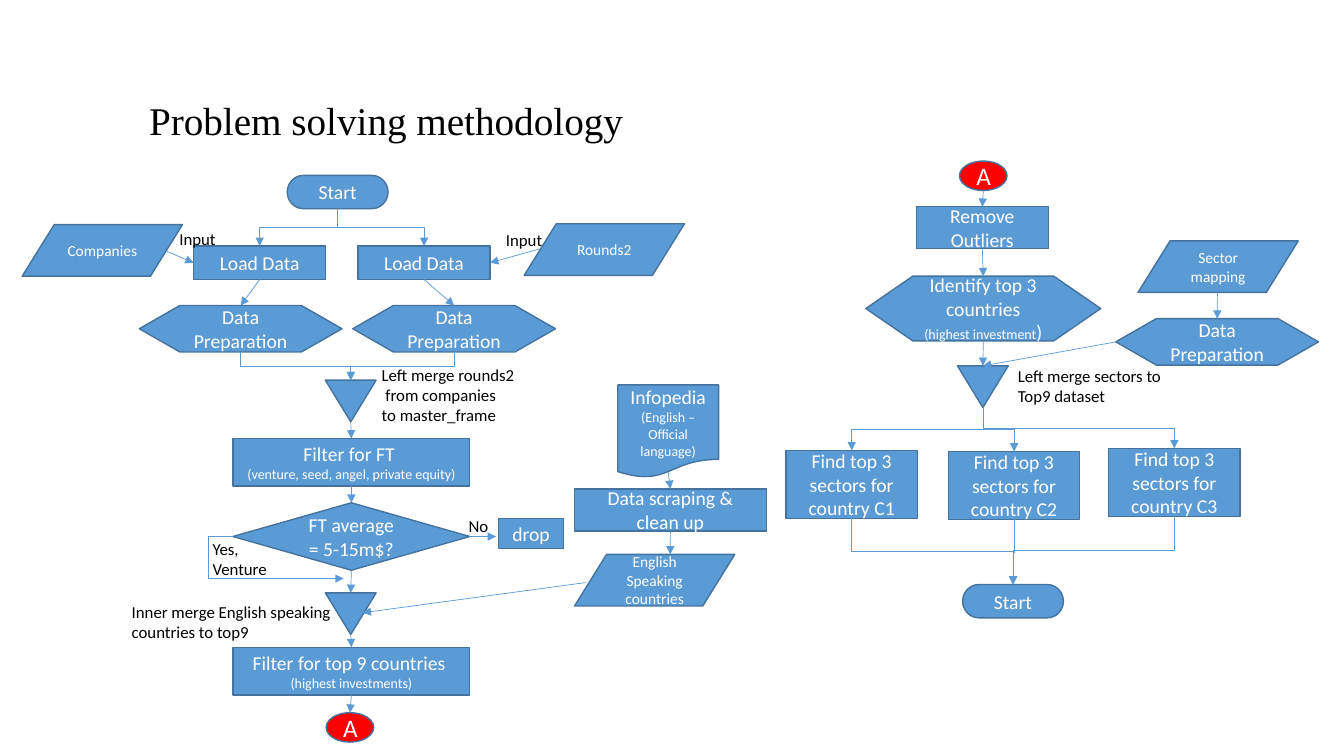
from typing import NamedTuple

from lxml.etree import SubElement
from pptx import Presentation
from pptx.dml.color import RGBColor
from pptx.enum.shapes import MSO_CONNECTOR as Wire, MSO_SHAPE as Form
from pptx.enum.text import MSO_ANCHOR as Anchor, MSO_AUTO_SIZE as Fit, PP_ALIGN as Align
from pptx.oxml.ns import qn
from pptx.util import Cm, Pt

COLORS = {"blue": "5B9BD5", "edge": "43739E", "red": "FF0000",
          "white": "FFFFFF", "black": "000000"}
TOP, LEFT, BOTTOM, RIGHT = range(4)


class Kind(NamedTuple):
    form: Form
    width: float
    height: float
    size: int = 14
    fill: str = "blue"


class Node(NamedTuple):
    name: str
    kind: Kind
    x: float
    y: float
    text: str = ""
    note: str = ""


class Label(NamedTuple):
    x: float
    y: float
    width: float
    height: float
    text: str
    wrap: bool = False


class Spot(NamedTuple):
    x: float
    y: float


class Link(NamedTuple):
    start: str | Spot
    end: str | Spot
    out: int = BOTTOM
    into: int = TOP


# Kinds of flowchart symbol
PILL = Kind(Form.FLOWCHART_TERMINATOR, 2.54, 0.84)
DATA = Kind(Form.FLOWCHART_DATA, 4.04, 1.3, 11)
LOAD = Kind(Form.FLOWCHART_PROCESS, 3.33, 0.84)
PREP = Kind(Form.FLOWCHART_PREPARATION, 5.11, 1.17)
MERGE = Kind(Form.FLOWCHART_MERGE, 1.28, 1.05)
FILTER = Kind(Form.FLOWCHART_PROCESS, 5.97, 1.2)
GATE = Kind(Form.FLOWCHART_DECISION, 5.97, 1.7)
FIND = Kind(Form.FLOWCHART_PROCESS, 3.31, 1.71)
MARK = Kind(Form.OVAL, 1.2, 0.74, 18, "red")
DROP = Kind(Form.FLOWCHART_PROCESS, 1.63, 0.76)
PAGE = Kind(Form.FLOWCHART_DOCUMENT, 2.54, 2.34)
SCRAPE = Kind(Form.FLOWCHART_PROCESS, 4.83, 1.06)
CLEAN = Kind(Form.FLOWCHART_PROCESS, 3.33, 1.06)
PICK = Kind(Form.FLOWCHART_PREPARATION, 5.92, 1.63)

NODES = [
    Node("start", PILL, 7.24, 4.42, "Start"),
    Node("firms", DATA, 0.56, 5.66, "Companies"),
    Node("rounds", DATA, 13.21, 5.64, "Rounds2"),
    Node("load1", LOAD, 4.88, 6.2, "Load Data"),
    Node("load2", LOAD, 9.02, 6.2, "Load Data"),
    Node("prep1", PREP, 3.51, 7.7, "Data Preparation"),
    Node("prep2", PREP, 8.89, 7.7, "Data Preparation"),
    Node("merge1", MERGE, 8.2, 9.58),
    Node("funds", FILTER, 5.87, 11.05, "Filter for FT ", "(venture, seed, angel, private equity)"),
    Node("gate", GATE, 5.87, 12.67, "FT average = 5-15m$?"),
    Node("drop", DROP, 12.57, 13.06, "drop"),
    Node("merge2", MERGE, 8.2, 14.94),
    Node("lands", FILTER, 5.87, 16.31, "Filter for top 9 countries ", "(highest investments)"),
    Node("exit", MARK, 8.22, 17.96, "A"),
    Node("wiki", PAGE, 15.57, 9.7, "Infopedia", "(English – Official language)"),
    Node("scrape", SCRAPE, 14.48, 12.32, "Data scraping & clean up"),
    Node("english", DATA, 14.48, 13.97, "English Speaking countries"),
    Node("entry", MARK, 24.18, 4.06, "A"),
    Node("clean", CLEAN, 23.09, 5.21, "Remove Outliers"),
    Node("pick", PICK, 21.82, 6.96, "Identify top 3 countries "),
    Node("sector", DATA, 28.68, 6.07, "Sector mapping"),
    Node("prep3", PREP, 28.12, 8.03, "Data Preparation"),
    Node("merge3", MERGE, 24.13, 9.22),
    *(Node(f"find{n}", FIND, x, y, f"Find top 3 sectors for country C{n}")
      for n, x, y in ((1, 19.81, 11.35), (2, 23.9, 11.38), (3, 27.94, 11.3))),
    Node("end", PILL, 24.26, 14.73, "Start"),
]
LABELS = [
    Label(12.5, 5.66, 1.42, 0.76, "Input"),
    Label(4.27, 5.64, 1.42, 0.76, "Input"),
    Label(9.37, 9.07, 3.91, 1.8, "Left merge rounds2\n from companies\nto master_frame"),
    Label(3.07, 15.04, 5.74, 1.27, "Inner merge English speaking countries to top9", True),
    Label(5.11, 13.44, 1.88, 1.27, "Yes,\nVenture"),
    Label(11.56, 12.88, 1.02, 0.76, "No"),
    Label(25.4, 9.09, 5.74, 1.27, "Left merge sectors to\nTop9 dataset", True),
]
LINKS = [
    Link("load1", "prep1"), Link("load2", "prep2"), Link("merge1", "funds"),
    Link("funds", "gate"), Link("gate", "merge2"), Link("merge2", "lands"),
    Link("lands", "exit"), Link("clean", "pick"), Link("pick", "merge3"),
    Link(Spot(4.17, 6.32), "load1", into=LEFT), Link(Spot(13.61, 6.27), "load2", into=RIGHT),
    Link(Spot(16.84, 11.89), "scrape"), Link("scrape", Spot(16.89, 13.97)),
    Link(Spot(14.76, 14.68), Spot(9.14, 15.44)), Link("gate", Spot(12.5, 13.52), RIGHT),
    Link(Spot(24.78, 4.8), "clean"), Link(Spot(30.68, 7.37), "prep3"),
    Link("prep3", "merge3", LEFT),
]
BENDS = [Link("start", "load1"), Link("start", "load2"),
         Link("prep1", "merge1"), Link("prep2", "merge1")]
for n in (1, 2, 3):
    BENDS += [Link("merge3", f"find{n}"), Link(f"find{n}", "end")]

deck = Presentation()
deck.slide_width, deck.slide_height = Cm(33.87), Cm(19.05)
slide = deck.slides.add_slide(deck.slide_layouts[5])
shapes = {}


def tint(name: str) -> RGBColor:
    return RGBColor.from_string(COLORS[name])


def style(run, size: int, color: str, face: str = "Calibri") -> None:
    run.font.size, run.font.name = Pt(size), face
    run.font.color.rgb = tint(color)


def draw_node(node: Node) -> None:
    kind = node.kind
    shape = shapes[node.name] = slide.shapes.add_shape(
        kind.form, Cm(node.x), Cm(node.y), Cm(kind.width), Cm(kind.height))
    shape.shadow.inherit = False
    shape.fill.solid()
    shape.fill.fore_color.rgb = tint(kind.fill)
    shape.line.color.rgb, shape.line.width = tint("edge"), Pt(1)
    shape.text_frame.text = f"{node.text}\n{node.note}" if node.note else node.text
    for para, size in zip(shape.text_frame.paragraphs, (kind.size, 10)):
        para.alignment = Align.CENTER
        for run in para.runs:
            style(run, size, "white")


def draw_label(label: Label) -> None:
    frame = slide.shapes.add_textbox(*map(Cm, label[:4])).text_frame
    frame.word_wrap, frame.text = label.wrap, label.text
    for para in frame.paragraphs:
        style(para.runs[0], 12, "black")


def place(end: str | Spot, side: int) -> tuple[int, int]:
    if isinstance(end, Spot):
        return Cm(end.x), Cm(end.y)
    box = shapes[end]
    across, down = ((1, 0), (0, 1), (1, 2), (2, 1))[side]
    return box.left + across * box.width // 2, box.top + down * box.height // 2


def draw_wire(form: Wire, *ends: int):
    wire = slide.shapes.add_connector(form, *ends)
    wire.line.color.rgb, wire.line.width = tint("blue"), Pt(0.5)
    SubElement(wire._element.spPr.find(qn("a:ln")), qn("a:tailEnd"), type="triangle")
    SubElement(wire._element.spPr, qn("a:effectLst"))
    return wire


def draw_link(link: Link) -> None:
    wire = draw_wire(Wire.STRAIGHT, *place(link.start, link.out), *place(link.end, link.into))
    if isinstance(link.start, str):
        wire.begin_connect(shapes[link.start], link.out)
    if isinstance(link.end, str):
        wire.end_connect(shapes[link.end], link.into)


def draw_bend(link: Link) -> None:
    (x1, y1), (x2, y2) = place(link.start, link.out), place(link.end, link.into)
    x, y, w, h = (x1 + x2) // 2, (y1 + y2) // 2, (y2 - y1) // 2, abs(x2 - x1) // 2
    frame = draw_wire(Wire.ELBOW, x - w, y - h, x + w, y + h)._element.spPr.find(qn("a:xfrm"))
    # A quarter turn makes the elbow leave downwards
    frame.set("rot", str((270 if x2 > x1 else 90) * 60000))
    frame.set("flipH", str(int(x2 > x1)))


# Title
title = slide.shapes.title
title.left, title.top, title.width, title.height = map(Cm, (3.15, 1.75, 25.88, 2.39))
title.text_frame.auto_size, title.text_frame.vertical_anchor = Fit.NONE, Anchor.MIDDLE
head = title.text_frame.paragraphs[0]
head.alignment, head.line_spacing = Align.LEFT, 0.9
for text, size in ((" ", 40), ("Problem solving methodology", 28)):
    run = head.add_run()
    run.text, run.font.bold = text, size == 40
    style(run, size, "black", "Times New Roman")

# Symbols, with small print inside the country step
for node in NODES:
    draw_node(node)
for text, size in (("(highest investment", 10), (")", 14)):
    run = shapes["pick"].text_frame.paragraphs[0].add_run()
    run.text = text
    style(run, size, "white")

# Arrows, then the loop of the "Yes" branch
for link in LINKS:
    draw_link(link)
for link in BENDS:
    draw_bend(link)
loop = draw_wire(Wire.ELBOW, *place("gate", LEFT), Cm(8.66), Cm(14.58))
guides = loop._element.spPr.find(qn("a:prstGeom")).get_or_add_avLst()
SubElement(guides, qn("a:gd"), name="adj1", fmla="val -22600")

for label in LABELS:
    draw_label(label)
deck.save("out.pptx")
